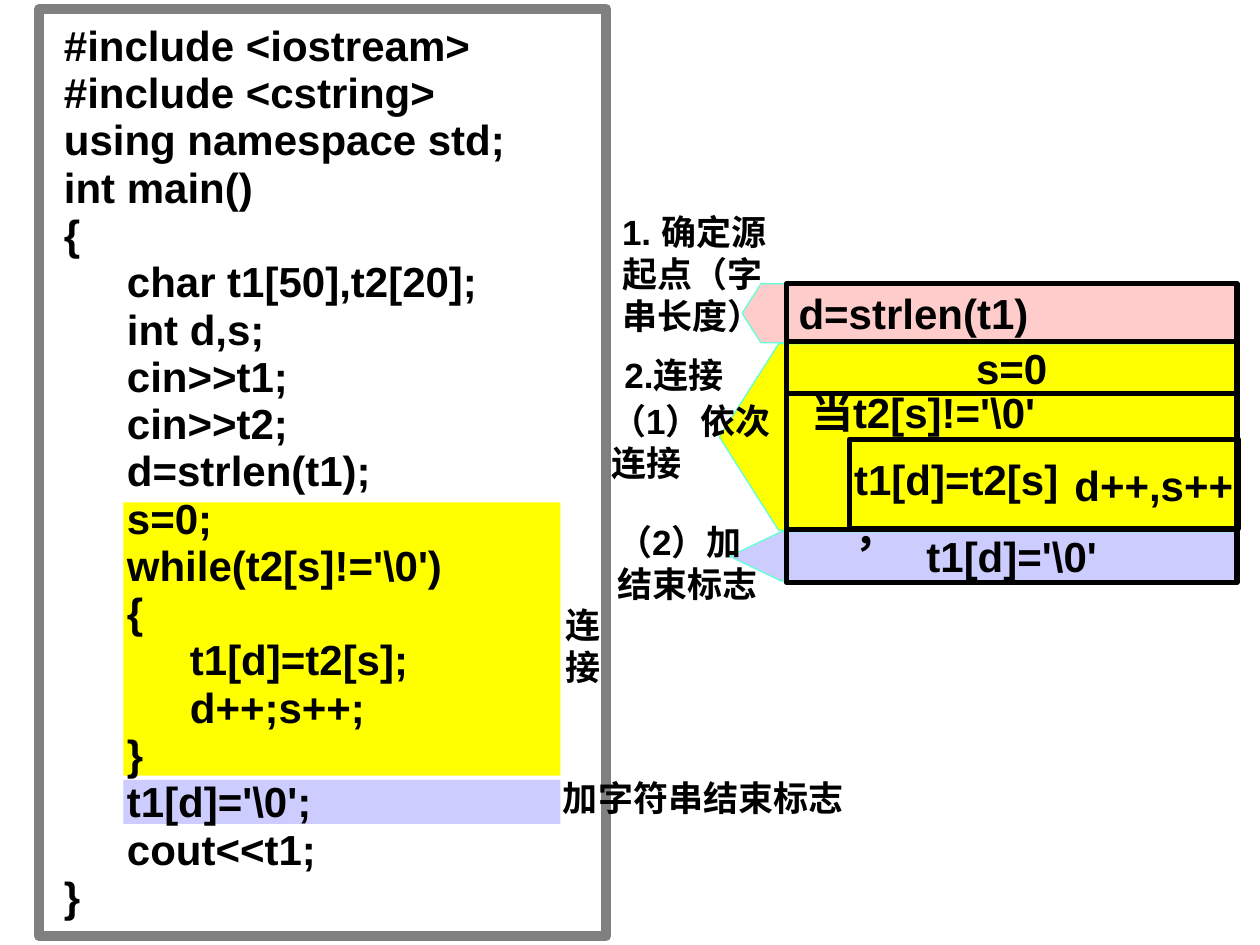
from dataclasses import dataclass

from pptx import Presentation
from pptx.dml.color import RGBColor
from pptx.enum.shapes import MSO_SHAPE
from pptx.enum.text import MSO_ANCHOR, MSO_AUTO_SIZE, PP_ALIGN
from pptx.util import Cm, Pt

RECTANGLE, PENTAGON = MSO_SHAPE.RECTANGLE, MSO_SHAPE.PENTAGON
LEFT, CENTER = PP_ALIGN.LEFT, PP_ALIGN.CENTER
MIDDLE = MSO_ANCHOR.MIDDLE
GROW = MSO_AUTO_SIZE.SHAPE_TO_FIT_TEXT


@dataclass(frozen=True)
class Theme:
    ink: str = "000000"
    frame: str = "808080"
    outline: str = "63FFD5"
    start: str = "FFCCCC"
    loop: str = "FFFF00"
    finish: str = "CCCCFF"
    code_font: str = "Arial"
    note_font: str = "Noto Sans CJK SC"
    code_size: int = 24
    note_size: int = 20
    code_leading: int = 27


THEME = Theme()

CODE = r"""#include <iostream>
#include <cstring>
using namespace std;
int main()
{
	char t1[50],t2[20];
	int d,s;
	cin>>t1;
	cin>>t2;
	d=strlen(t1);
	s=0;
	while(t2[s]!='\0')
	{
		t1[d]=t2[s];
		d++;s++;
	}
	t1[d]='\0';
	cout<<t1;
}""".split("\n")

# All places are in centimetres.
CODE_FRAME = (0.79, 0.18, 11.43, 18.69)
CODE_PLACE = (1.04, 0.33, 12.9, 18.54)

# top, height, colour
HIGHLIGHT_LEFT, HIGHLIGHT_WIDTH = 2.49, 8.81
HIGHLIGHTS = [(15.72, 0.89, THEME.finish), (10.13, 5.51, THEME.loop)]

# left, top, height, point depth, colour
POINTER_RIGHT = 24.96
POINTERS = [
    (14.71, 10.72, 0.99, 1.043, THEME.finish),
    (14.5, 6.93, 3.76, 0.318, THEME.loop),
    (14.96, 5.72, 1.19, 0.318, THEME.start),
]

# height, text, alignment: the rows of the flow diagram, stacked
DIAGRAM_LEFT, DIAGRAM_TOP, DIAGRAM_WIDTH = 15.85, 5.72, 9.09
DIAGRAM_ROWS = [
    (1.17, "d=strlen(t1)", LEFT),
    (1.04, "s=0", CENTER),
    (2.74, "", LEFT),
    (1.07, r"t1[d]='\0'", CENTER),
]
LOOP_BODY = (17.12, 8.86, 7.85, 1.8)

# text, place
DIAGRAM_TEXTS = [
    ("t1[d]=t2[s]，", (16.97, 9.02, 4.72, 1.27)),
    ("d++,s++", (21.41, 9.14, 3.89, 1.27)),
    (r"当t2[s]!='\0'", (16.1, 7.67, 8.81, 1.27)),
]
STEPS = [
    ("1. 确定源起点（字串长度）", (12.29, 4.11, 3.99, 2.82)),
    ("2.连接", (12.34, 7.01, 6.55, 1.12)),
    ("（1）依次连接", (12.07, 7.92, 4.24, 1.96)),
    ("（2）加结束标志", (12.19, 10.36, 3.53, 1.96)),
]
CODE_NOTES = [
    ("连接", (11.15, 12.04, 1.73, 1.96)),
    ("加字符串结束标志", (11.1, 15.52, 6.2, 1.12)),
]


def color(value):
    return RGBColor.from_string(value)


def add_box(page, place, kind=RECTANGLE, fill=None, line=None, weight=3):
    box = page.shapes.add_shape(kind, *map(Cm, place))
    box.shadow.inherit = False
    if fill:
        box.fill.solid()
        box.fill.fore_color.rgb = color(fill)
    else:
        box.fill.background()
    if line:
        box.line.color.rgb = color(line)
        box.line.width = Pt(weight)
    else:
        box.line.fill.background()
    return box


def style(para, size, font=THEME.code_font):
    para.font.name = font
    para.font.size = Pt(size)
    para.font.bold = True
    para.font.color.rgb = color(THEME.ink)


def add_text(page, lines, place, size, font=THEME.code_font, leading=None):
    frame = page.shapes.add_textbox(*map(Cm, place)).text_frame
    frame.word_wrap = True
    frame.auto_size = GROW
    frame.text = "\n".join(lines)
    for para in frame.paragraphs:
        style(para, size, font)
        if leading:
            para.line_spacing = Pt(leading)


def add_diagram(page):
    top = DIAGRAM_TOP
    for height, text, alignment in DIAGRAM_ROWS:
        place = (DIAGRAM_LEFT, top, DIAGRAM_WIDTH, height)
        box = add_box(page, place, line=THEME.ink)
        top += height
        if text:
            frame = box.text_frame
            frame.word_wrap = False
            frame.vertical_anchor = MIDDLE
            frame.margin_top = frame.margin_bottom = 0
            para = frame.paragraphs[0]
            para.text = text
            para.alignment = alignment
            style(para, THEME.code_size)
    add_box(page, LOOP_BODY, line=THEME.ink)


def main():
    deck = Presentation()
    deck.slide_width, deck.slide_height = Cm(25.4), Cm(19.05)
    page = deck.slides.add_slide(deck.slide_layouts[6])

    for top, height, fill in HIGHLIGHTS:
        add_box(page, (HIGHLIGHT_LEFT, top, HIGHLIGHT_WIDTH, height), fill=fill)
    for left, top, height, depth, fill in POINTERS:
        place = (left, top, POINTER_RIGHT - left, height)
        pointer = add_box(page, place, PENTAGON, fill, THEME.outline, 0.75)
        pointer.rotation = 180
        pointer.adjustments[0] = depth

    add_diagram(page)
    for text, place in DIAGRAM_TEXTS:
        add_text(page, [text], place, THEME.code_size)
    for text, place in STEPS:
        add_text(page, [text], place, THEME.note_size)

    add_box(page, CODE_FRAME, line=THEME.frame, weight=6)
    add_text(page, CODE, CODE_PLACE, THEME.code_size, leading=THEME.code_leading)
    for text, place in CODE_NOTES:
        add_text(page, [text], place, THEME.note_size, THEME.note_font)

    deck.save("out.pptx")


if __name__ == "__main__":
    main()
